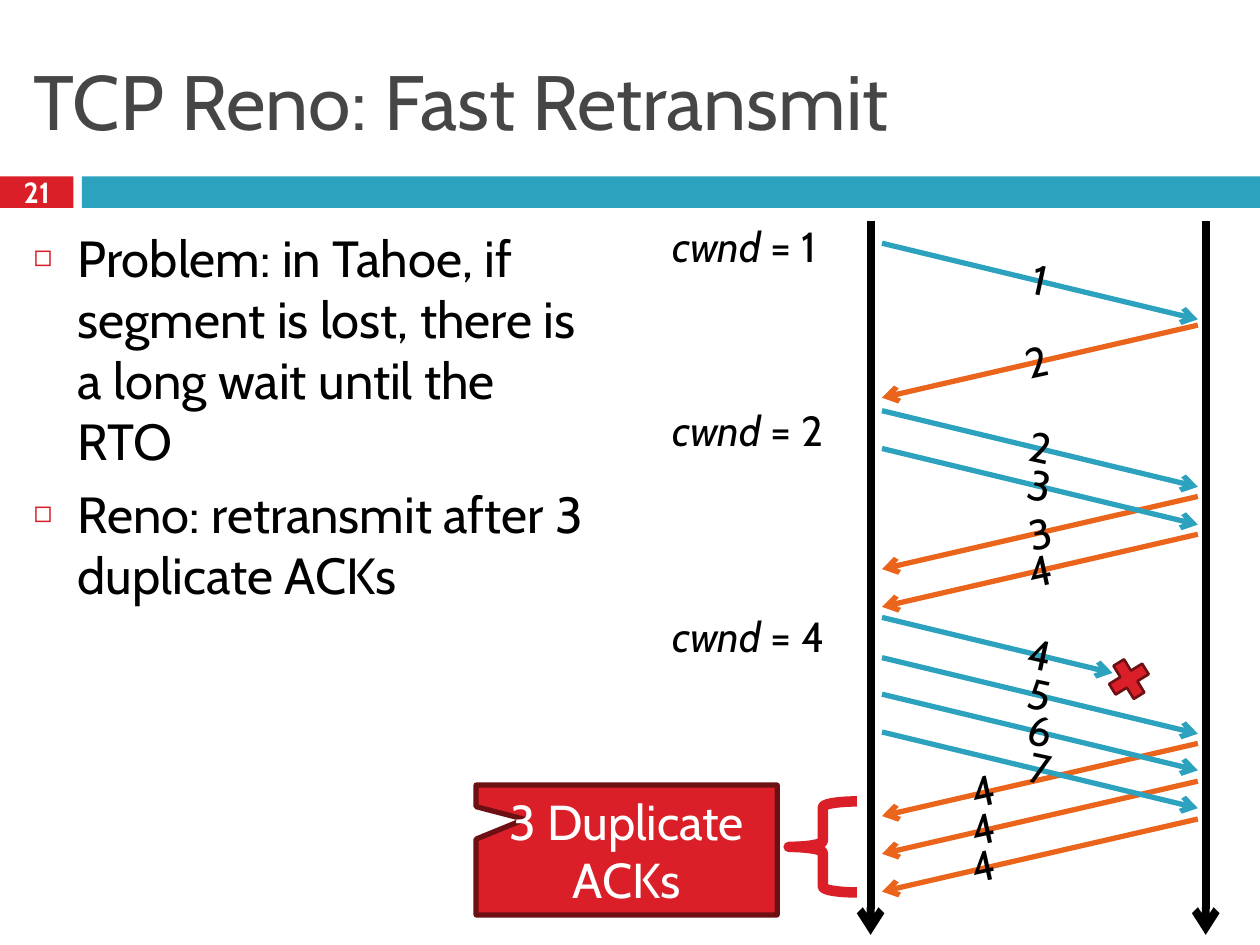
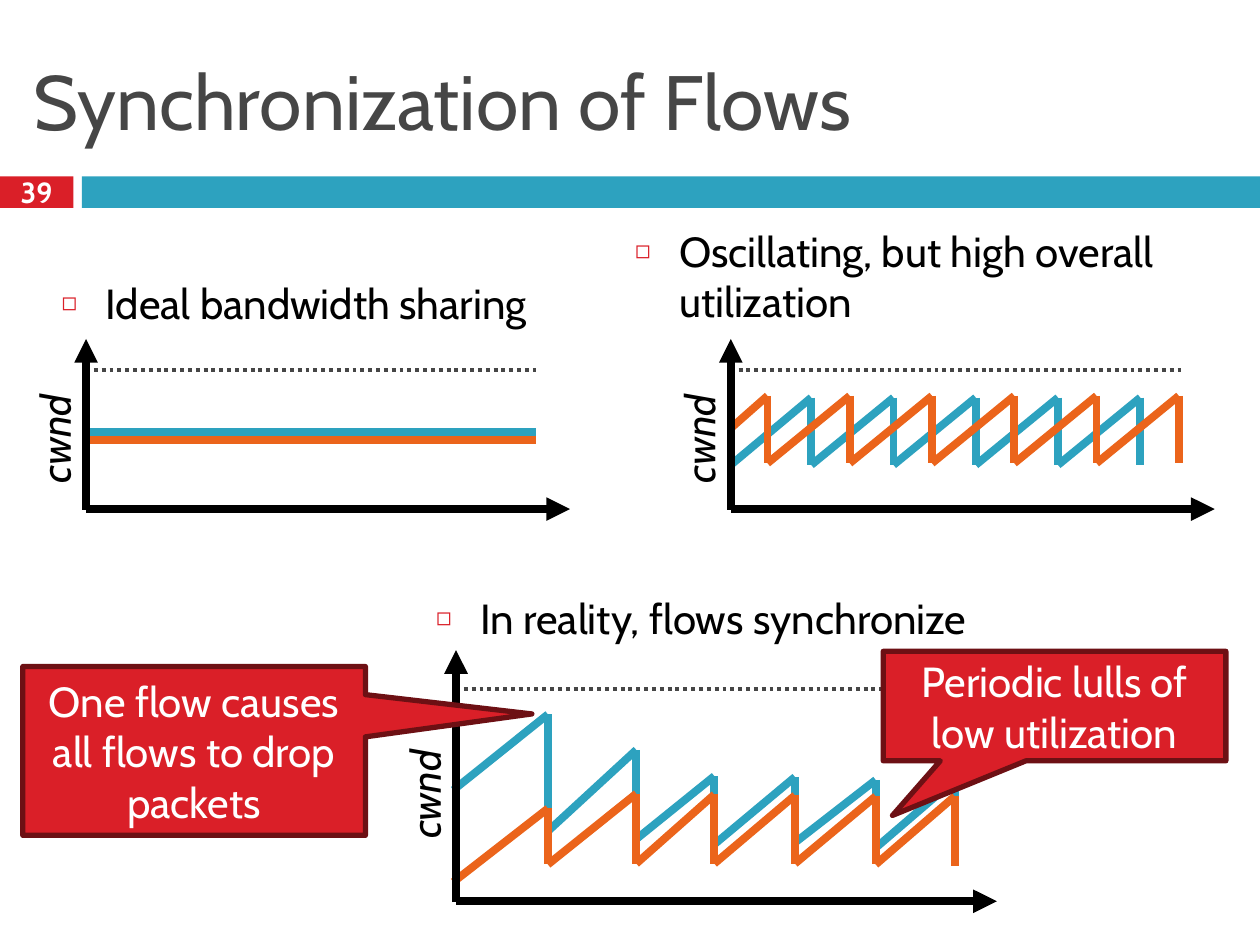
from lxml.etree import SubElement
from pptx import Presentation
from pptx.dml.color import RGBColor
from pptx.enum.dml import MSO_LINE
from pptx.enum.shapes import MSO_CONNECTOR, MSO_SHAPE
from pptx.enum.text import MSO_ANCHOR, MSO_AUTO_SIZE, PP_ALIGN
from pptx.oxml.ns import qn
from pptx.util import Pt

FONT = "Cabin"
RED, DARK_RED = "DA1F28", "6D1014"
BLUE, ORANGE = "2DA2BF", "EB641B"
BLACK, WHITE, GREY = "000000", "FFFFFF", "464646"


def color(hex_string):
    return RGBColor.from_string(hex_string)


# Basic parts
def add_run(paragraph, text, size, hex_string=BLACK, bold=False, italic=False):
    run = paragraph.add_run()
    run.text = text
    font = run.font
    font.name, font.size, font.bold, font.italic = FONT, Pt(size), bold, italic
    font.color.rgb = color(hex_string)


def place(shape, box):
    shape.left, shape.top, shape.width, shape.height = map(Pt, box)


def set_frame(shape, anchor):
    frame = shape.text_frame
    frame.word_wrap = True
    frame.auto_size = MSO_AUTO_SIZE.NONE
    frame.vertical_anchor = anchor
    return frame


def add_label(slide, box, runs, align=PP_ALIGN.LEFT, rotation=0):
    """Text box whose runs are (text, italic) pairs."""
    label = slide.shapes.add_textbox(*map(Pt, box))
    label.rotation = rotation
    paragraph = set_frame(label, MSO_ANCHOR.TOP).paragraphs[0]
    paragraph.alignment = align
    for text, italic in runs:
        add_run(paragraph, text, 24, italic=italic)


def add_shape(slide, kind, box, fill=None, line=None, line_width=0):
    shape = slide.shapes.add_shape(kind, *map(Pt, box))
    shape.shadow.inherit = False
    if fill:
        shape.fill.solid()
        shape.fill.fore_color.rgb = color(fill)
    else:
        shape.fill.background()
    if line:
        shape.line.color.rgb = color(line)
        shape.line.width = Pt(line_width)
    else:
        shape.line.fill.background()
    return shape


def add_line(slide, start, end, hex_string, width, arrow=None, dash=None):
    line = slide.shapes.add_connector(MSO_CONNECTOR.STRAIGHT, *map(Pt, (*start, *end)))
    line.line.color.rgb = color(hex_string)
    line.line.width = Pt(width)
    if dash:
        line.line.dash_style = dash
    properties = line.element.spPr
    if arrow:
        SubElement(properties.find(qn("a:ln")), qn("a:tailEnd")).set("type", arrow)
    SubElement(properties, qn("a:effectLst"))


def add_callout(slide, box, text, size, tip):
    callout = add_shape(slide, MSO_SHAPE.RECTANGULAR_CALLOUT, box, RED, DARK_RED, 3)
    callout.adjustments[0], callout.adjustments[1] = tip
    paragraph = set_frame(callout, MSO_ANCHOR.MIDDLE).paragraphs[0]
    paragraph.alignment = PP_ALIGN.CENTER
    add_run(paragraph, text, size, WHITE)


# Parts that every slide shares
def add_slide(presentation, layout_index, title, number):
    slide = presentation.slides.add_slide(presentation.slide_layouts[layout_index])
    place(slide.shapes.title, (12, 18, 696, 78))
    paragraph = set_frame(slide.shapes.title, MSO_ANCHOR.MIDDLE).paragraphs[0]
    paragraph.alignment = PP_ALIGN.LEFT
    add_run(paragraph, title, 44, GREY)
    # Number badge and band
    badge = add_shape(slide, MSO_SHAPE.RECTANGLE, (0, 100.8, 42, 18), RED)
    frame = set_frame(badge, MSO_ANCHOR.MIDDLE)
    frame.margin_left = frame.margin_right = frame.margin_top = frame.margin_bottom = 0
    frame.paragraphs[0].alignment = PP_ALIGN.CENTER
    add_run(frame.paragraphs[0], number, 16.6, WHITE, bold=True)
    add_shape(slide, MSO_SHAPE.RECTANGLE, (46.8, 100.8, 673.2, 18), BLUE)
    return slide


def fill_list(placeholder, box, items, size):
    place(placeholder, box)
    frame = set_frame(placeholder, MSO_ANCHOR.TOP)
    for index, item in enumerate(items):
        paragraph = frame.add_paragraph() if index else frame.paragraphs[0]
        paragraph.space_before = Pt(7)
        properties = paragraph._p.get_or_add_pPr()
        properties.set("marL", str(Pt(25.2)))
        properties.set("indent", str(-Pt(25.2)))
        bullet_color = SubElement(properties, qn("a:buClr"))
        SubElement(bullet_color, qn("a:srgbClr")).set("val", RED)
        SubElement(properties, qn("a:buSzPct")).set("val", "60000")
        SubElement(properties, qn("a:buChar")).set("char", "\u25fb")
        add_run(paragraph, item, size)


# Sequence diagram: two timelines with the messages between them
def add_sequence(slide, box):
    left, top, width, height = box
    near, far = left + 6.5, left + width - 4.5

    def add_number(text, x, y, rotation):
        add_label(slide, (left + x, y, 80, 36), [(text, False)], PP_ALIGN.CENTER, rotation)

    # Acknowledgements: number, start, label left, label drop
    acks = [("2", 59.8, 55, 2.5), ("3", 157.7, 57, 2.5), ("4", 179.3, 57, 2.5),
            ("4", 298.8, 24.5, 8.3), ("4", 320.4, 24.5, 8.3), ("4", 342, 24.5, 8.3)]
    for _, start, _, _ in acks:
        y = top + start
        add_line(slide, (far, y), (near, y + 41.5), ORANGE, 3, "arrow")
    # Timelines
    for x in (left, left + width):
        add_line(slide, (x, top), (x, top + height), BLACK, 4.5, "arrow")
    # Segments: number, start, share of the way covered
    segments = [("1", 13, 1), ("2", 108.7, 1), ("3", 130.3, 1), ("4", 226.8, 0.73),
                ("5", 249.8, 1), ("6", 270.7, 1), ("7", 292.3, 1)]
    for text, start, share in segments:
        y = top + start
        end = (near + (far - near) * share, y + 43.5 * share)
        add_line(slide, (near, y), end, BLUE, 3, "arrow")
        add_number(text, 57, y + 2.5, 12.3)
    for text, start, x, drop in acks:
        add_number(text, x, top + start + drop, 347.5)
    # Window sizes
    for size, y in (("1", -3.6), ("2", 101.5), ("4", 219.6)):
        add_label(slide, (left - 120.2, top + y, 112.3, 36),
                  [("cwnd", True), (" = " + size, False)])
    # Lost segment
    cross = add_shape(slide, MSO_SHAPE.MATH_MULTIPLY,
                      (left + 132.5, top + 247, 30.2, 30.2), RED, DARK_RED, 1.5)
    cross.rotation = 13.5
    # Duplicates
    add_shape(slide, MSO_SHAPE.LEFT_BRACE, (left - 46.8, top + 332, 39, 52),
              line=RED, line_width=6)
    add_callout(slide, (left - 225.4, top + 322.6, 172, 74.2),
                "3 Duplicate ACKs", 28, (-0.339, -0.236))


# Line sketch of window size over time; flows are points relative to the box
def add_window_sketch(slide, box, limit_y, limit_width, flows):
    left, top, width, height = box
    bottom = top + height
    add_label(slide, (left - 53.6, top + 0.55 * height - 18.3, 71.3, 36.7),
              [("cwnd", True)], rotation=270)
    add_line(slide, (left, bottom - 0.5), (left + width, bottom - 0.5), BLACK, 4.5, "triangle")
    add_line(slide, (left, top + limit_y), (left + limit_width, top + limit_y),
             GREY, 2.25, dash=MSO_LINE.ROUND_DOT)
    for hex_string, points in flows:
        corners = [(left + x, top + y) for x, y in points]
        for start, end in zip(corners, corners[1:]):
            add_line(slide, start, end, hex_string, 4.5)
    add_line(slide, (left, bottom), (left, top), BLACK, 4.5, "triangle")


def sawtooth(start, teeth):
    """Each tooth is x, peak, trough."""
    points = [start]
    for x, peak, trough in teeth:
        points += [(x, peak), (x, trough)]
    return points


def build_retransmit_slide(presentation):
    slide = add_slide(presentation, 1, "TCP Reno: Fast Retransmit", "21")
    fill_list(slide.placeholders[1], (12, 126, 338.4, 401.8),
              ["Problem: in Tahoe, if segment is lost, there is a long wait until the RTO",
               "Reno: retransmit after 3 duplicate ACKs"], 29)
    add_sequence(slide, (497.5, 126, 191.5, 408.2))


def build_flows_slide(presentation):
    slide = add_slide(presentation, 4, "Synchronization of Flows", "39")
    captions = [(2, (28, 154.8, 299.5, 39.6), "Ideal bandwidth sharing"),
                (4, (355.7, 125.3, 353.5, 72.7), "Oscillating, but high overall utilization"),
                (1, (242, 334.8, 353.5, 36.7), "In reality, flows synchronize")]
    for index, box, text in captions:
        fill_list(slide.placeholders[index], box, [text], 24)
    unused = slide.placeholders[3].element
    unused.getparent().remove(unused)

    # Steady flows
    add_window_sketch(slide, (49.2, 193.7, 276.5, 97.7), 18, 257,
                      [(BLUE, [(0, 53.3), (257, 53.3)]), (ORANGE, [(0, 57.6), (257, 57.6)])])
    # Alternating flows
    blue_teeth = [(46 + 47 * step, 33.5, 72) for step in range(5)]
    orange_teeth = [(21 + 47 * step, 32.5, 71) for step in range(6)]
    add_window_sketch(slide, (417.6, 193.7, 276.5, 97.7), 18, 257,
                      [(BLUE, sawtooth((0, 72), blue_teeth)),
                       (ORANGE, sawtooth((0, 51), orange_teeth))])
    # Synchronized flows
    drops = (52.5, 103, 147.6, 193.7, 239.8, 285)
    blue_teeth = zip(drops, (36.7, 57, 72, 72.5, 74.2, 74.2),
                     (103.5, 108, 111, 110, 113, 112.3))
    orange_teeth = zip(drops, (90.5, 82, 82.5, 83, 83.5, 83.5),
                       (122.5, 122, 122, 122, 122.5, 123.5))
    add_window_sketch(slide, (260.6, 371.5, 309, 144), 22.3, 309,
                      [(BLUE, sawtooth((-1.5, 80), blue_teeth)),
                       (ORANGE, sawtooth((-1.5, 132.5), orange_teeth))])
    add_callout(slide, (13, 380.9, 195.8, 96.5),
                "One flow causes all flows to drop packets", 24, (0.986, -0.219))
    add_callout(slide, (504.7, 372.2, 195.8, 62.6),
                "Periodic lulls of low utilization", 24, (-0.473, 0.999))


presentation = Presentation()
presentation.slide_width, presentation.slide_height = Pt(720), Pt(540)
build_retransmit_slide(presentation)
build_flows_slide(presentation)
presentation.save("out.pptx")
